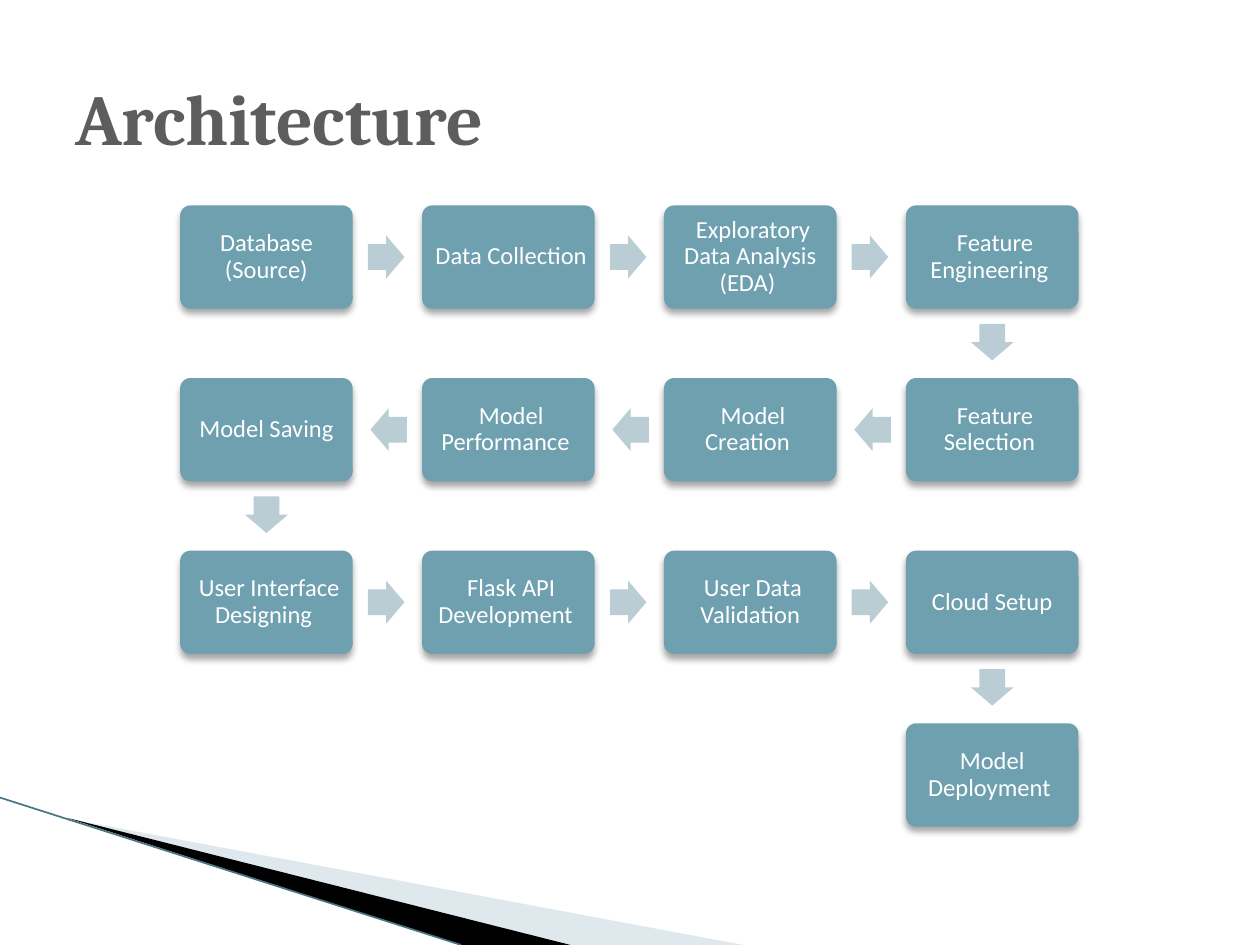
from dataclasses import dataclass

from lxml.etree import fromstring
from pptx import Presentation
from pptx.dml.color import RGBColor as RGB
from pptx.enum.shapes import MSO_CONNECTOR as Line, MSO_SHAPE as Shape
from pptx.enum.text import MSO_ANCHOR as Anchor, PP_ALIGN as Align
from pptx.oxml import parse_xml
from pptx.oxml.ns import nsdecls, qn
from pptx.util import Inches, Pt


@dataclass(frozen=True)
class Theme:
    box: str = "6EA0B0"
    arrow: str = "BACDD4"
    label: str = "FFFFFF"
    title: str = "5D5D5D"
    pale: str = "B1C9D2"
    dark: str = "000000"
    edge: str = "4A7383"
    head_font: str = "Cambria"
    body_font: str = "Calibri"
    head_size: int = 41
    body_size: int = 14


THEME = Theme()
COLS = 4
LEFT, TOP = 1.43, 1.63
STEP_X, STEP_Y = 1.92, 1.37
BOX_W, BOX_H = 1.37, 0.82
ARROW_W, ARROW_H = 0.29, 0.34
NUDGE = 0.01

STEPS = [
    "Database (Source)", " Data Collection",
    " Exploratory Data Analysis (EDA) ", " Feature Engineering ",
    " Feature Selection ", " Model Creation ",
    " Model Performance ", " Model Saving ",
    " User Interface Designing ", " Flask API Development ",
    " User Data Validation", " Cloud Setup ", "Model Deployment ",
]


def paint(shape, color):
    shape.shadow.inherit = False
    shape.fill.solid()
    shape.fill.fore_color.rgb = RGB.from_string(color)
    shape.line.fill.background()


def write(shape, text, font, inset, align):
    frame = shape.text_frame
    frame.word_wrap = True
    frame.vertical_anchor = Anchor.MIDDLE
    for side, size in inset.items():
        setattr(frame, f"margin_{side}", Inches(size))
    para = frame.paragraphs[0]
    para.alignment = align
    run = para.add_run()
    run.text = text
    color = font.pop("color")
    for name, value in font.items():
        setattr(run.font, name, value)
    run.font.color.rgb = RGB.from_string(color)
    return para


def add_shadow(shape):
    effects = shape._element.spPr.find(qn("a:effectLst"))
    effects.append(parse_xml(
        f'<a:outerShdw {nsdecls("a")} blurRad="{Pt(4)}" dist="{Pt(3)}" '
        'dir="5400000" rotWithShape="0"><a:srgbClr val="000000">'
        '<a:alpha val="35000"/></a:srgbClr></a:outerShdw>'))


def add_wedge(slide, points, color, alpha=None):
    start, *rest = [(Inches(x), Inches(y)) for x, y in points]
    maker = slide.shapes.build_freeform(*start)
    maker.add_line_segments(rest, close=True)
    wedge = maker.convert_to_shape()
    paint(wedge, color)
    if alpha:
        tint = wedge._element.spPr.find(f'{qn("a:solidFill")}/{qn("a:srgbClr")}')
        tint.append(fromstring(
            f'<a:alpha {nsdecls("a")} val="{alpha * 1000}"/>'))


def add_edge(slide):
    edge = slide.shapes.add_connector(
        Line.STRAIGHT, 0, Inches(6.33), Inches(3.66), Inches(7.5))
    edge.line.color.rgb = RGB.from_string(THEME.edge)
    edge.line.width = Pt(0.95)
    edge._element.spPr.append(parse_xml(f'<a:effectLst {nsdecls("a")}/>'))


def add_title(slide, text):
    box = slide.shapes.add_textbox(
        Inches(0.5), Inches(0.3), Inches(9), Inches(1.25))
    font = dict(name=THEME.head_font, size=Pt(THEME.head_size),
                bold=True, color=THEME.title)
    write(box, text, font, {}, Align.LEFT)


def center(index):
    """Middle of a step; every second row runs from right to left."""
    row, col = divmod(index, COLS)
    if row % 2:
        col = COLS - 1 - col
    return LEFT + col * STEP_X + BOX_W / 2, TOP + row * STEP_Y + BOX_H / 2


def place(slide, kind, mid, width, height):
    x, y = mid
    return slide.shapes.add_shape(
        kind, Inches(x - width / 2), Inches(y - height / 2),
        Inches(width), Inches(height))


def add_step(slide, index, text):
    box = place(slide, Shape.ROUNDED_RECTANGLE, center(index), BOX_W, BOX_H)
    box.adjustments[0] = 0.1
    paint(box, THEME.box)
    add_shadow(box)
    font = dict(name=THEME.body_font, size=Pt(THEME.body_size),
                color=THEME.label)
    inset = dict.fromkeys(("left", "top", "right", "bottom"), 0.03)
    para = write(box, text, font, inset, Align.CENTER)
    para.line_spacing = 0.9


def add_arrow(slide, index):
    """Point from a step to the next one, set slightly back from halfway."""
    (x1, y1), (x2, y2) = center(index), center(index + 1)
    x, y = (x1 + x2) / 2, (y1 + y2) / 2
    if y2 > y1:
        turn, y = 90, y - NUDGE
    elif x2 > x1:
        turn, x = 0, x - NUDGE
    else:
        turn, x = 180, x + NUDGE
    arrow = place(slide, Shape.RIGHT_ARROW, (x, y), ARROW_W, ARROW_H)
    arrow.adjustments[0] = 0.6
    arrow.adjustments[1] = 0.5
    arrow.rotation = turn
    paint(arrow, THEME.arrow)


def main():
    deck = Presentation()
    deck.slide_width, deck.slide_height = Inches(10), Inches(7.5)
    slide = deck.slides.add_slide(deck.slide_layouts[6])
    add_wedge(slide, [(0.55, 6.5), (5.9, 7.5), (4.53, 7.5)], THEME.pale, 40)
    add_wedge(slide, [(0.53, 6.49), (4.53, 7.5), (3.66, 7.5)], THEME.dark)
    add_edge(slide)
    for index, text in enumerate(STEPS):
        add_step(slide, index, text)
        if index + 1 < len(STEPS):
            add_arrow(slide, index)
    add_title(slide, "Architecture")
    deck.save("out.pptx")


if __name__ == "__main__":
    main()
